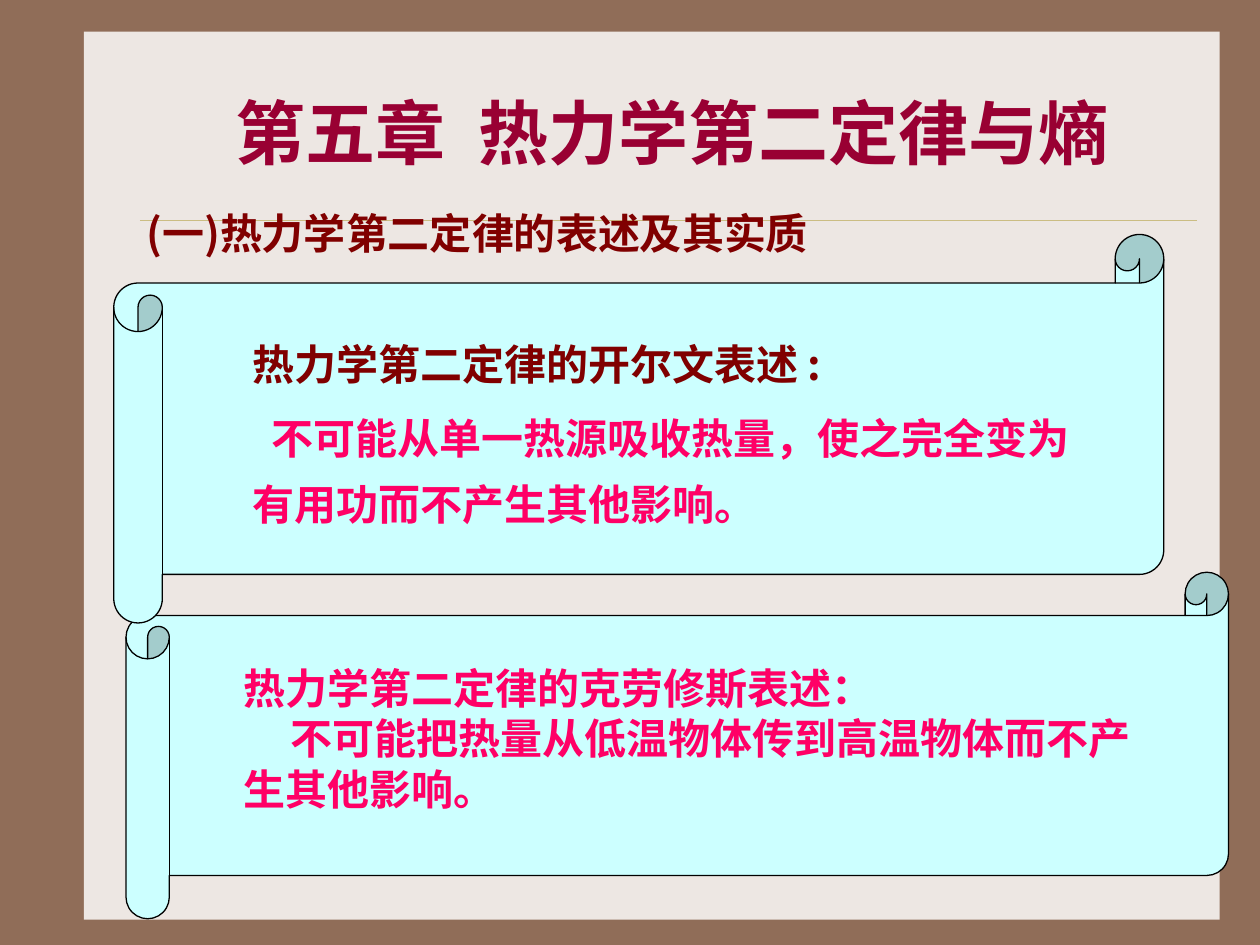
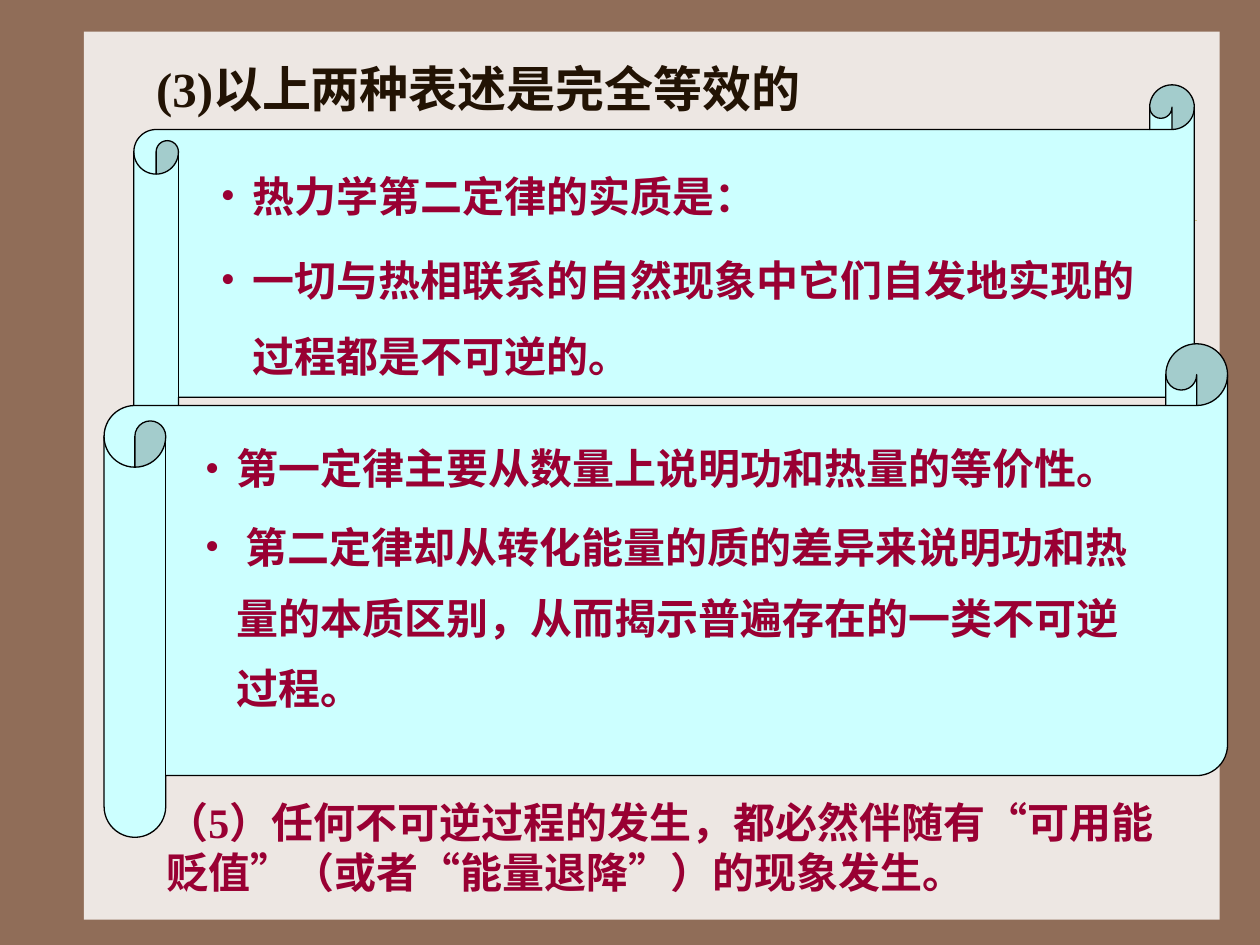
from dataclasses import dataclass

from lxml import etree
from pptx import Presentation
from pptx.dml.color import RGBColor
from pptx.enum.shapes import MSO_CONNECTOR as Connector, MSO_SHAPE as Shape
from pptx.enum.text import MSO_ANCHOR as Anchor, MSO_AUTO_SIZE as AutoSize, PP_ALIGN as Align
from pptx.oxml.ns import qn
from pptx.util import Pt


@dataclass(frozen=True)
class Theme:
    frame: str = "906D58"
    panel: str = "EDE7E3"
    rule: str = "CBBD83"
    scroll: str = "CCFFFF"
    outline: str = "000000"
    crimson: str = "990033"
    maroon: str = "800000"
    pink: str = "FF0066"
    dark: str = "221304"
    serif: str = "Times New Roman"
    sans: str = "Noto Sans CJK SC"
    chapter_size: int = 40
    section_size: int = 28
    body_size: int = 24
    bullet_indent: int = 18
    paragraph_gap: float = 4.8


@dataclass(frozen=True)
class Words:
    text: str
    color: str
    font: str = Theme.sans
    size: int = Theme.body_size
    spacing: int = 0


@dataclass(frozen=True)
class Para:
    words: tuple
    line_spacing: float = 1.0
    gap: float = 0
    margin: float = 0
    indent: float = 0
    bullet: str = ""
    align: Align = Align.LEFT


def rgb(code):
    return RGBColor.from_string(code)


class Deck:
    def __init__(self, theme):
        self.theme = theme
        self.show = Presentation()
        self.show.slide_width, self.show.slide_height = Pt(720), Pt(540)
        self.layout = self.show.slide_layouts[5]
        self.slide = None

    def new_slide(self):
        self.slide = self.show.slides.add_slide(self.layout)

    def share_backdrop(self):
        """Move a panel and a rule from the current slide to its layout."""
        fill = self.layout.background.fill
        fill.solid()
        fill.fore_color.rgb = rgb(self.theme.frame)
        for holder in list(self.layout.placeholders)[1:]:
            holder.element.getparent().remove(holder.element)
        panel = self.shape(Shape.RECTANGLE, (48, 18, 649, 507.5), self.theme.panel)
        rule = self.line((80, 126), (684, 126), self.theme.rule, 0.25)
        tree = self.layout.shapes.element
        for position, part in enumerate((panel, rule), start=2):
            tree.insert(position, part.element)

    def shape(self, kind, box, color, outline=None):
        shape = self.slide.shapes.add_shape(kind, *map(Pt, box))
        shape.shadow.inherit = False
        shape.fill.solid()
        shape.fill.fore_color.rgb = rgb(color)
        if outline:
            shape.line.color.rgb = rgb(outline)
            shape.line.width = Pt(0.75)
        else:
            shape.line.fill.background()
        return shape

    def line(self, start, end, color, width):
        line = self.slide.shapes.add_connector(Connector.STRAIGHT, *map(Pt, start + end))
        line.line.color.rgb = rgb(color)
        line.line.width = Pt(width)
        etree.SubElement(line.element.spPr, qn("a:effectLst"))
        return line

    def title(self, box, para):
        title = self.slide.shapes.title
        title.left, title.top, title.width, title.height = map(Pt, box)
        self.fill_text(title.text_frame, [para], Anchor.MIDDLE)

    def text(self, box, paras, anchor=Anchor.TOP):
        self.fill_text(self.slide.shapes.add_textbox(*map(Pt, box)).text_frame, paras, anchor)

    def scroll(self, box, text_box, paras):
        self.shape(Shape.HORIZONTAL_SCROLL, box, self.theme.scroll, self.theme.outline)
        page = self.shape(Shape.RECTANGLE, text_box, self.theme.scroll)
        self.fill_text(page.text_frame, paras, Anchor.TOP)

    def fill_text(self, frame, paras, anchor):
        frame.word_wrap = True
        frame.auto_size = AutoSize.NONE
        frame.vertical_anchor = anchor
        for number, para in enumerate(paras):
            target = frame.add_paragraph() if number else frame.paragraphs[0]
            self.format_paragraph(target, para, para.gap if number else 0)
            for words in para.words:
                self.add_run(target, words)

    def format_paragraph(self, target, para, gap):
        target.alignment = para.align
        target.line_spacing = para.line_spacing
        target.space_before = Pt(gap)
        props = target._p.get_or_add_pPr()
        props.set("marL", str(Pt(para.margin)))
        props.set("indent", str(Pt(para.indent)))
        if para.bullet:
            etree.SubElement(props, qn("a:buFont"), typeface=self.theme.serif)
            etree.SubElement(props, qn("a:buChar"), char=para.bullet)
        else:
            etree.SubElement(props, qn("a:buNone"))

    def add_run(self, target, words):
        run = target.add_run()
        run.text = words.text
        run.font.name = words.font
        run.font.size = Pt(words.size)
        run.font.bold = True
        run.font.color.rgb = rgb(words.color)
        props = run._r.get_or_add_rPr()
        props.set("lang", "zh-CN")
        if words.spacing:
            props.set("spc", str(words.spacing * 100))
        etree.SubElement(props, qn("a:ea"), typeface=self.theme.sans)


def bullets(texts, line_spacing, theme):
    return [Para((Words(text, theme.crimson),), line_spacing, theme.paragraph_gap,
                 theme.bullet_indent, -theme.bullet_indent, "•") for text in texts]


def statements_slide(deck, theme):
    chapter = [Words(text, theme.crimson, theme.serif, theme.chapter_size, spacing)
               for text, spacing in (("第五章", 0), (" ", 10), ("热力学第二定律与熵", 0))]
    deck.title((84, 30, 600, 90), Para(tuple(chapter), align=Align.CENTER))

    deck.text((76.5, 100, 570, 66), [Para((
        Words("(一)", theme.maroon),
        Words("热力学第二定律的表述及其实质", theme.maroon, theme.serif),
    ))], Anchor.MIDDLE)

    deck.scroll((72, 327, 630, 198), (132, 375, 522, 93.5), [
        Para((Words("热力学第二定律的克劳修斯表述：", theme.pink),)),
        Para((Words("不可能把热量从低温物体传到高温物体而不产生其他影响。", theme.pink),),
             indent=27),
    ])

    kelvin = dict(line_spacing=1.3, gap=theme.paragraph_gap, margin=theme.bullet_indent)
    deck.scroll((65, 134, 600, 222), (119, 181.5, 522, 125), [
        Para((Words("热力学第二定律的开尔文表述 :", theme.maroon),), **kelvin),
        Para((Words("不可能从单一热源吸收热量，使之完全变为有用功而不产生其他影响。",
                    theme.pink),), indent=11, **kelvin),
    ])


def essence_slide(deck, theme):
    deck.title((82, 26, 600, 48), Para((
        Words("(3)以上两种表述是完全等效的", theme.dark, theme.serif, theme.section_size),)))

    deck.scroll((76.5, 48.5, 606, 204), (119, 79.5, 546, 142.5), bullets([
        "热力学第二定律的实质是：",
        "一切与热相联系的自然现象中它们自发地实现的过程都是不可逆的。",
    ], 1.5, theme))

    deck.scroll((59.5, 196.5, 642, 282), (110, 238, 544, 174), bullets([
        "第一定律主要从数量上说明功和热量的等价性。",
        " 第二定律却从转化能量的质的差异来说明功和热量的本质区别，"
        "从而揭示普遍存在的一类不可逆过程。",
    ], 1.4, theme))

    deck.text((88, 451.5, 590, 65), [Para((
        Words("（5）任何不可逆过程的发生，都必然伴随有“可用能贬值”"
              "（或者“能量退降”）的现象发生。", theme.crimson, theme.serif),))])


def main():
    theme = Theme()
    deck = Deck(theme)
    deck.new_slide()
    deck.share_backdrop()
    statements_slide(deck, theme)
    deck.new_slide()
    essence_slide(deck, theme)
    deck.show.save("out.pptx")


if __name__ == "__main__":
    main()
